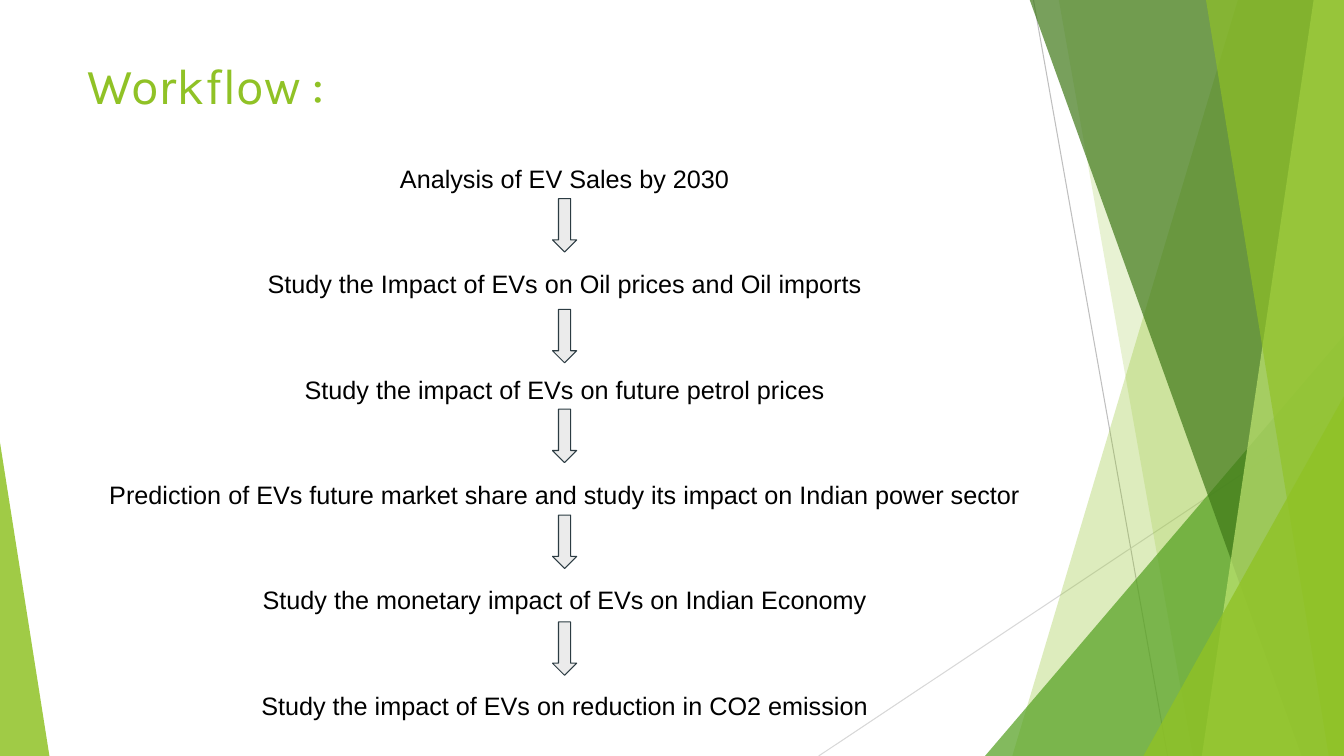
"""Builds the EV study workflow slide: six steps joined by arrows beside green facets."""
from dataclasses import dataclass

from lxml.etree import SubElement
from pptx import Presentation
from pptx.dml.color import RGBColor
from pptx.enum.shapes import MSO_CONNECTOR, MSO_SHAPE
from pptx.enum.text import MSO_ANCHOR, PP_ALIGN
from pptx.oxml.ns import qn
from pptx.util import Inches, Pt


@dataclass(frozen=True)
class Theme:
    green: str = "90C226"
    leaf: str = "54A021"
    forest: str = "3F7818"
    lime: str = "BFE471"
    ink: str = "000000"
    arrow_fill: str = "EBEBEB"
    arrow_line: str = "2C3C43"
    title_font: str = "Karla"
    step_font: str = "Arial"
    title_size: int = 36
    step_size: int = 18
    hairline: float = 0.75


theme = Theme()


def write(paragraph, text, *, font, size, color, align=PP_ALIGN.LEFT, after=0):
    paragraph.alignment = align
    paragraph.space_before = Pt(0)
    paragraph.space_after = Pt(after)
    paragraph.line_spacing = 1.0
    run = paragraph.add_run()
    run.text = text
    run.font.name = font
    run.font.size = Pt(size)
    run.font.color.rgb = RGBColor.from_string(color)


def paint(shape, color, opacity=100):
    shape.shadow.inherit = False
    shape.fill.solid()
    shape.fill.fore_color.rgb = RGBColor.from_string(color)
    shape.line.fill.background()
    tint = shape.fill._xPr.find(qn("a:solidFill"))[0]
    SubElement(tint, qn("a:alpha"), val=str(opacity * 1000))


deck = Presentation()
deck.slide_width, deck.slide_height = Inches(13.33), Inches(7.5)
slide = deck.slides.add_slide(deck.slide_layouts[5])
shapes = slide.shapes
right, top, bottom = 13.33, -0.01, 7.5

rays = [
    (10.25, 0, 11.58, bottom, "BFBFBF"),
    (right, 4.03, 8.12, bottom, "D8D8D8"),
]
for *ends, color in rays:
    ray = shapes.add_connector(MSO_CONNECTOR.STRAIGHT, *map(Inches, ends))
    ray.line.color.rgb = RGBColor.from_string(color)
    ray.line.width = Pt(theme.hairline)
    SubElement(ray._element.spPr, qn("a:effectLst"))

facets = [
    ("band", (12.28, 10.04), theme.green, 30),
    ("band", (10.5, 11.83), theme.green, 20),
    ("peak", (9.77, 3.33, 3.56, 1), theme.leaf, 72),
    ("band", (10.21, 12.91), theme.forest, 70),
    ("band", (13.03, 11.92), theme.lime, 70),
    ("band", (11.96, 13.18), theme.green, 65),
    ("peak", (11.34, 3.93, 1.99, 1), theme.green, 80),
    ("peak", (0, 4.39, 0.49, 0), theme.green, 85),
]
for kind, geometry, color, opacity in facets:
    if kind == "band":
        upper, lower = geometry
        corners = [(right, top), (right, bottom), (lower, bottom)]
        outline = shapes.build_freeform(Inches(upper), Inches(top))
        outline.add_line_segments([(Inches(x), Inches(y)) for x, y in corners])
        facet = outline.convert_to_shape()
    else:
        left, apex, width, lean = geometry
        facet = shapes.add_shape(
            MSO_SHAPE.ISOSCELES_TRIANGLE,
            Inches(left), Inches(apex), Inches(width), Inches(bottom - apex),
        )
        facet.adjustments[0] = lean
    paint(facet, color, opacity)

heading = shapes.title
heading.left, heading.top = Inches(0.77), Inches(0.49)
heading.width, heading.height = Inches(9.4), Inches(0.77)
heading.text_frame.vertical_anchor = MSO_ANCHOR.TOP
write(heading.text_frame.paragraphs[0], "Workflow :", font=theme.title_font,
      size=theme.title_size, color=theme.green)

steps = [
    "Analysis of EV Sales by 2030",
    "Study the Impact of EVs on Oil prices and Oil imports",
    "Study the impact of EVs on future petrol prices",
    "Prediction of EVs future market share and study its impact on Indian power sector",
    "Study the monetary impact of EVs on Indian Economy",
    "Study the impact of EVs on reduction in CO2 emission",
]
workflow = shapes.add_textbox(Inches(0.9), Inches(1.57), Inches(9.4), Inches(5.67)).text_frame
workflow.word_wrap = True
for number, step in enumerate(steps):
    paragraph = workflow.add_paragraph() if number else workflow.paragraphs[0]
    write(paragraph, step, font=theme.step_font, size=theme.step_size,
          color=theme.ink, align=PP_ALIGN.CENTER, after=53.7)

for arrow_top in (1.97, 3.07, 4.06, 5.11, 6.17):
    arrow = shapes.add_shape(
        MSO_SHAPE.DOWN_ARROW, Inches(5.48), Inches(arrow_top), Inches(0.24), Inches(0.53)
    )
    paint(arrow, theme.arrow_fill)
    arrow.line.color.rgb = RGBColor.from_string(theme.arrow_line)
    arrow.line.width = Pt(theme.hairline)

deck.save("out.pptx")
